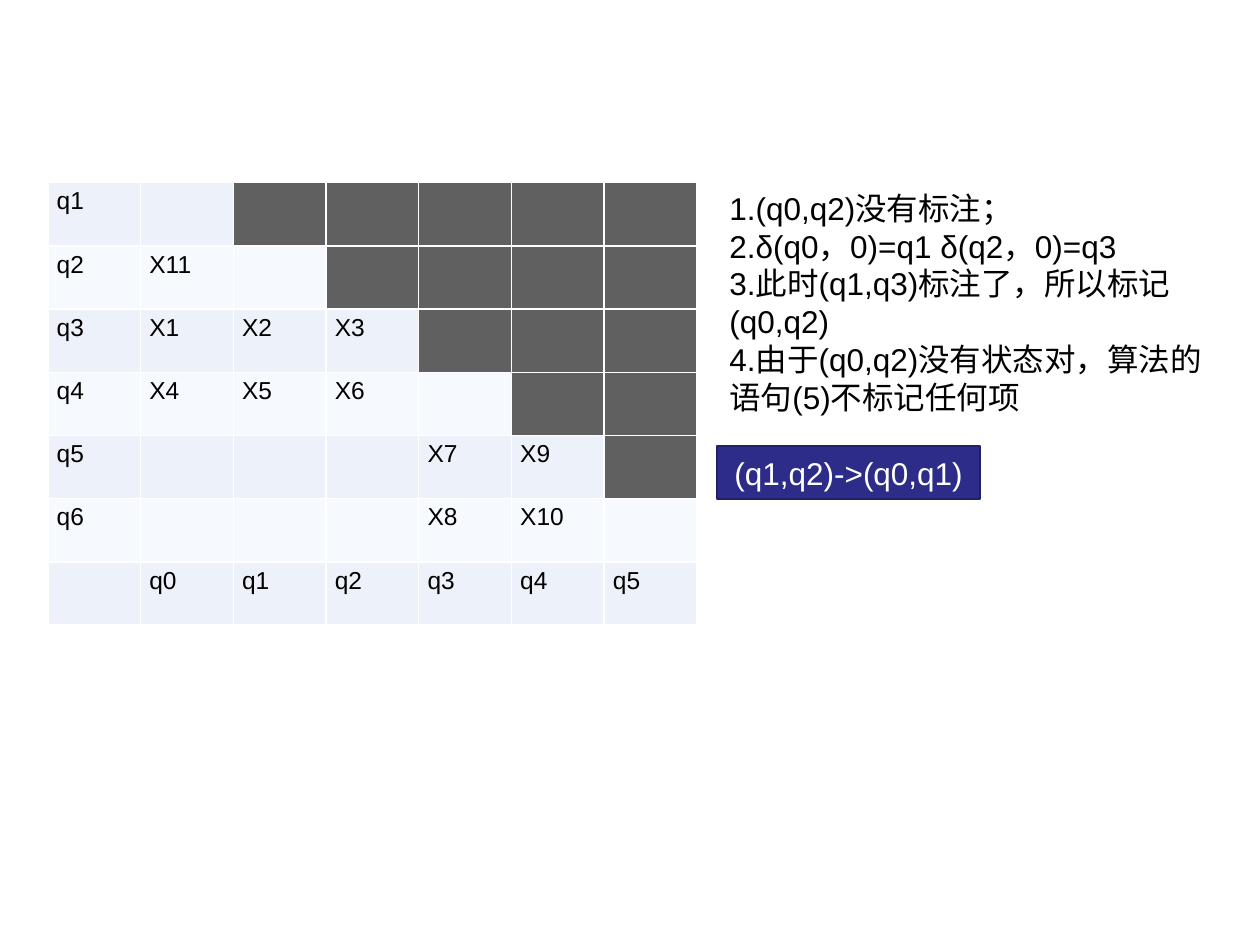
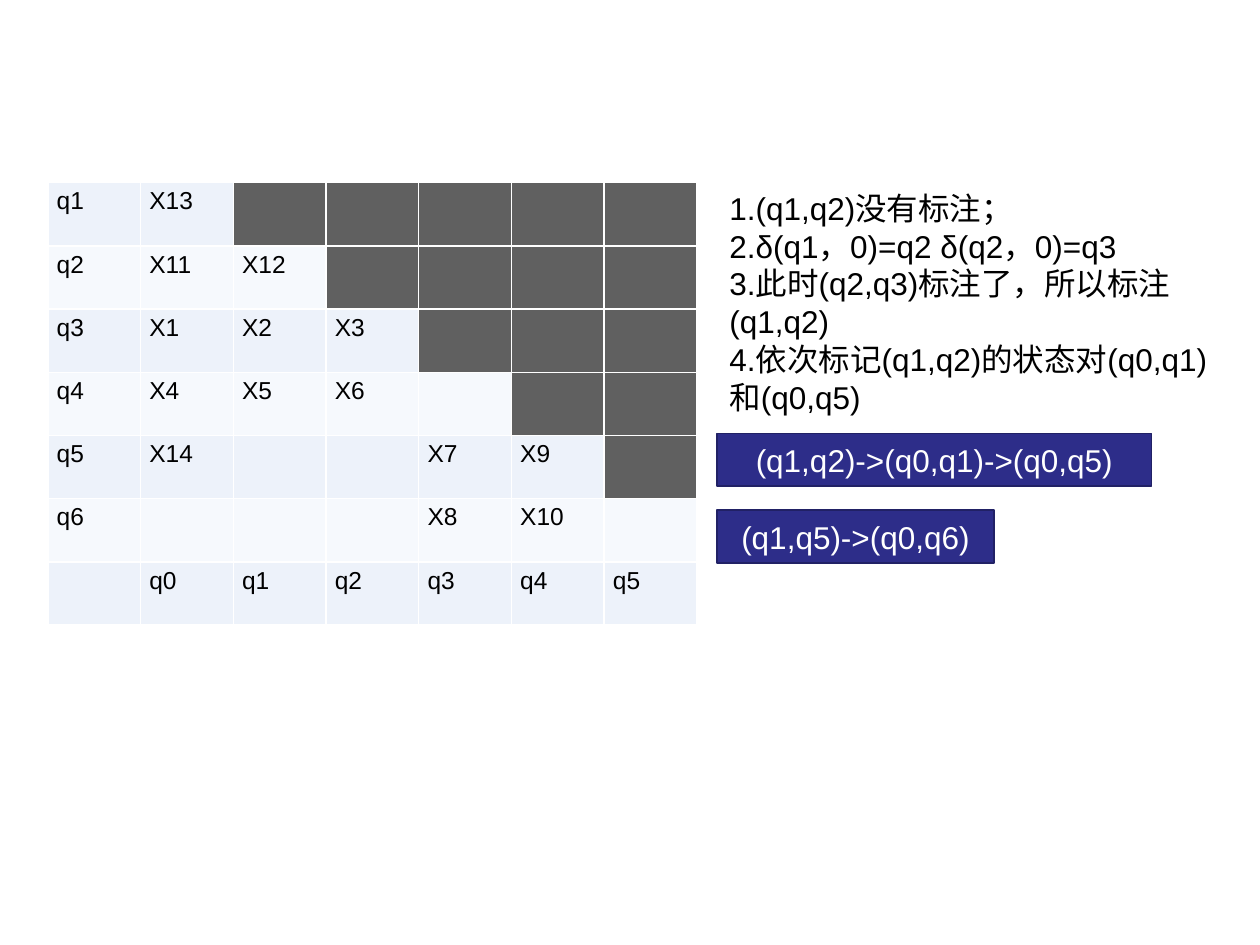
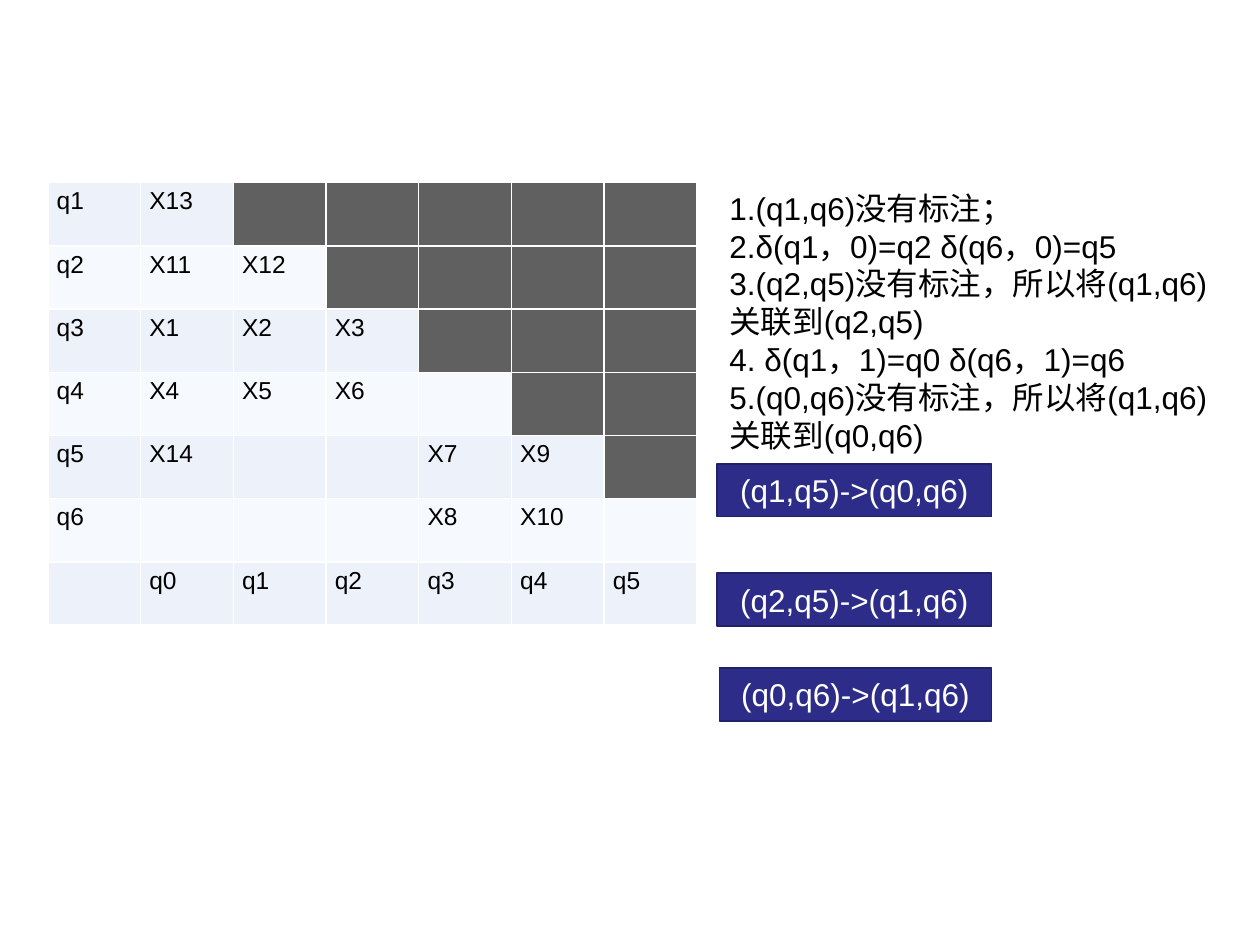
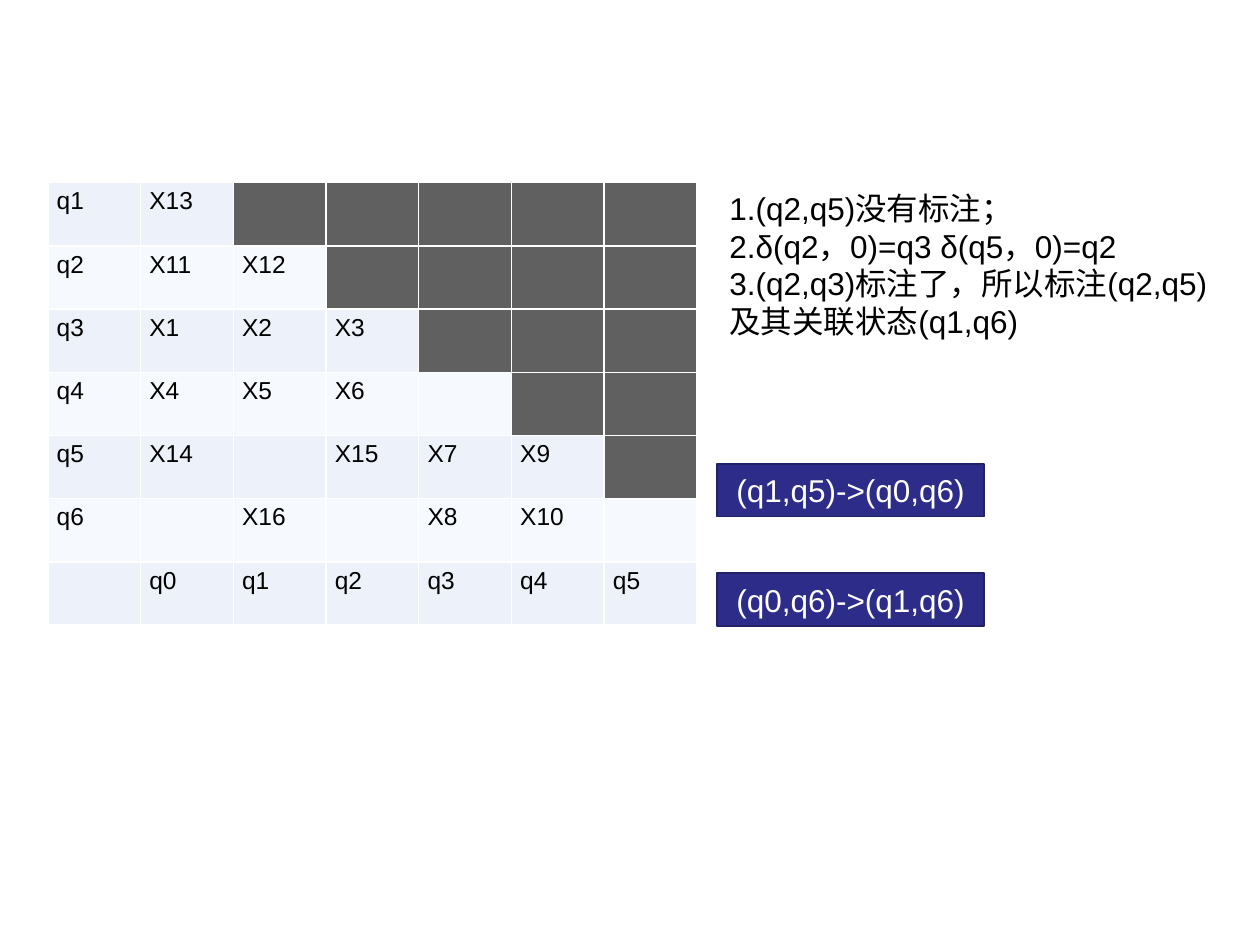
from dataclasses import dataclass

from lxml import etree
from pptx import Presentation
from pptx import util as u
from pptx.dml.color import RGBColor
from pptx.enum import shapes, text
from pptx.oxml.ns import qn


@dataclass(frozen=True)
class Theme:
    font: str = "Arial"
    ink: str = "000000"
    white: str = "FFFFFF"
    dark: str = "606060"
    bands: tuple = ("EDF2FA", "F6F9FD")
    box: str = "2D2D89"
    edge: str = "212165"
    cell: int = 14
    body: int = 18


T = Theme()
WIDE, HIGH = u.Inches(10), u.Inches(7.5)

# Places and sizes in percent of the slide's width or height
LEFT, SIDE, TOP = 3.8, 56.9, 19.33
COL, ROW = 7.36, 6.69
NOTE, LINE, PAD = 39.9, 4.03, 1.33
TALL = 5.6

# State pairs (column, row) in the order in which they get marked
MARKS = [(0, 3), (1, 3), (2, 3), (0, 4), (1, 4), (2, 4), (3, 5), (3, 6),
         (4, 5), (4, 6), (0, 2), (1, 2), (0, 1), (0, 5), (2, 5), (1, 6)]
LAST = 6

# Per slide: marks so far, note height in lines, note, boxes (left, top, width, label)
STEPS = [
    (11, 6,
     ["1.(q0,q2)没有标注；",
      "2.δ(q0，0)=q1 δ(q2，0)=q3",
      "3.此时(q1,q3)标注了，所以标记(q0,q2)",
      "4.由于(q0,q2)没有状态对，算法的语句(5)不标记任何项"],
     [(SIDE, 47.2, 20.9, "(q1,q2)->(q0,q1)")]),
    (14, 7,
     ["1.(q1,q2)没有标注；",
      "2.δ(q1，0)=q2 δ(q2，0)=q3",
      "3.此时(q2,q3)标注了，所以标注(q1,q2)",
      "4.依次标记(q1,q2)的状态对(q0,q1)和(q0,q5)"],
     [(SIDE, 45.87, 34.5, "(q1,q2)->(q0,q1)->(q0,q5)"),
      (SIDE, 54, 22, "(q1,q5)->(q0,q6)")]),
    (14, 8,
     ["1.(q1,q6)没有标注；",
      "2.δ(q1，0)=q2 δ(q6，0)=q5",
      "3.(q2,q5)没有标注，所以将(q1,q6)关联到(q2,q5)",
      "4. δ(q1，1)=q0 δ(q6，1)=q6",
      "5.(q0,q6)没有标注，所以将(q1,q6)关联到(q0,q6)"],
     [(SIDE, 49.07, 21.8, "(q1,q5)->(q0,q6)"),
      (SIDE, 60.67, 21.8, "(q2,q5)->(q1,q6)"),
      (57.1, 70.67, 21.6, "(q0,q6)->(q1,q6)")]),
    (16, 5,
     ["1.(q2,q5)没有标注；",
      "2.δ(q2，0)=q3 δ(q5，0)=q2",
      "3.(q2,q3)标注了，所以标注(q2,q5)及其关联状态(q1,q6)"],
     [(SIDE, 49.07, 21.2, "(q1,q5)->(q0,q6)"),
      (SIDE, 60.67, 21.2, "(q0,q6)->(q1,q6)")]),
]


def area(left, top, width, height):
    """Turn percentages into slide lengths."""
    return (int(WIDE * left / 100), int(HIGH * top / 100),
            int(WIDE * width / 100), int(HIGH * height / 100))


def paint(fill, color):
    fill.solid()
    fill.fore_color.rgb = RGBColor.from_string(color)


def style(para, size, color):
    para.font.name = T.font
    para.font.size = u.Pt(size)
    para.font.color.rgb = RGBColor.from_string(color)


def border(cell):
    props = cell._tc.get_or_add_tcPr()
    for side in ("a:lnL", "a:lnR", "a:lnT", "a:lnB"):
        line = etree.SubElement(props, qn(side), w=str(u.Pt(1)))
        solid = etree.SubElement(line, qn("a:solidFill"))
        etree.SubElement(solid, qn("a:srgbClr"), val=T.white)


def label(row, col, marks):
    """Text of a cell: row states left, column states below, marks between."""
    if col == 0:
        return f"q{row}" if row <= LAST else ""
    if row > LAST:
        return f"q{col - 1}"
    pair = (col - 1, row)
    return f"X{marks.index(pair) + 1}" if pair in marks else ""


def add_pairs(slide, marks):
    size = LAST + 1
    frame = slide.shapes.add_table(
        size, size, *area(LEFT, TOP, COL * size, ROW * size))
    table = frame.table
    table.first_row = table.horz_banding = False
    for row in range(1, size + 1):
        for col in range(size):
            cell = table.cell(row - 1, col)
            cell.margin_left = cell.margin_right = u.Inches(0.07)
            cell.margin_top = cell.margin_bottom = u.Inches(0.04)
            cell.text = label(row, col, marks)
            style(cell.text_frame.paragraphs[0], T.cell, T.ink)
            border(cell)
            above = row < col <= LAST
            paint(cell.fill, T.dark if above else T.bands[(row - 1) % 2])


def add_note(slide, lines, rows):
    note = slide.shapes.add_textbox(*area(SIDE, TOP, NOTE, PAD + LINE * rows))
    frame = note.text_frame
    frame.word_wrap = True
    frame.auto_size = text.MSO_AUTO_SIZE.SHAPE_TO_FIT_TEXT
    frame.text = "\n".join(lines)
    for para in frame.paragraphs:
        style(para, T.body, T.ink)


def add_link(slide, left, top, width, words):
    box = slide.shapes.add_shape(
        shapes.MSO_SHAPE.RECTANGLE, *area(left, top, width, TALL))
    box.shadow.inherit = False
    paint(box.fill, T.box)
    paint(box.line.fill, T.edge)
    box.line.width = u.Pt(1)
    frame = box.text_frame
    frame.word_wrap = True
    frame.vertical_anchor = text.MSO_ANCHOR.MIDDLE
    frame.text = words
    para = frame.paragraphs[0]
    para.alignment = text.PP_ALIGN.CENTER
    style(para, T.body, T.white)


def main():
    deck = Presentation()
    deck.slide_width, deck.slide_height = WIDE, HIGH
    blank = deck.slide_layouts[6]
    for count, rows, lines, links in STEPS:
        slide = deck.slides.add_slide(blank)
        add_pairs(slide, MARKS[:count])
        add_note(slide, lines, rows)
        for link in links:
            add_link(slide, *link)
    deck.save("out.pptx")


if __name__ == "__main__":
    main()
